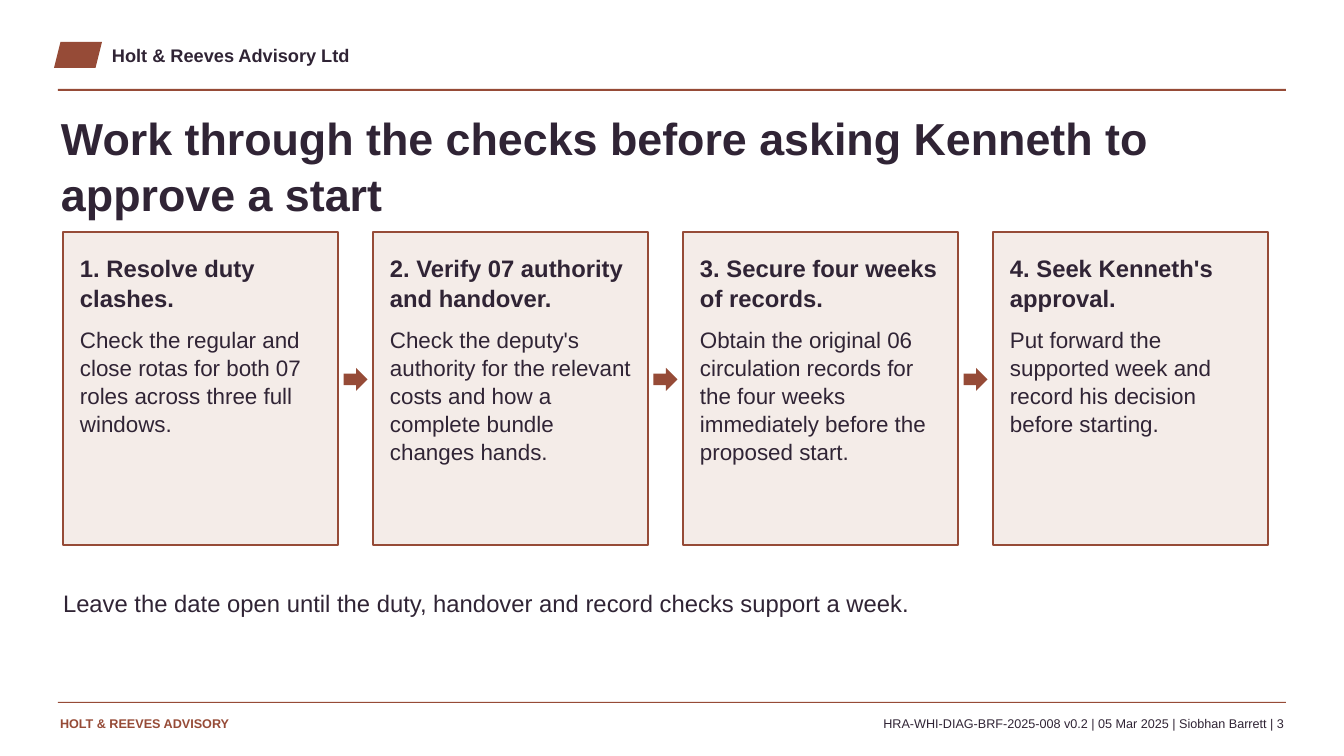
from dataclasses import dataclass
from pptx import Presentation
from pptx.dml.color import RGBColor
from pptx.enum.shapes import MSO_SHAPE
from pptx.enum.text import MSO_ANCHOR, MSO_AUTO_SIZE, PP_ALIGN
from pptx.util import Emu, Pt

RECTANGLE = MSO_SHAPE.RECTANGLE
PARALLELOGRAM = MSO_SHAPE.PARALLELOGRAM
RIGHT_ARROW = MSO_SHAPE.RIGHT_ARROW
TOP = MSO_ANCHOR.TOP
LEFT, RIGHT = PP_ALIGN.LEFT, PP_ALIGN.RIGHT
NO_AUTOFIT = MSO_AUTO_SIZE.NONE

TITLE = "Work through the checks before asking Kenneth to approve a start"
COMPANY = "Holt & Reeves Advisory Ltd"
STEPS = [
    ("1. Resolve duty clashes.",
     "Check the regular and close rotas for both 07 roles across three full windows."),
    ("2. Verify 07 authority and handover.",
     "Check the deputy's authority for the relevant costs and how a complete bundle changes hands."),
    ("3. Secure four weeks of records.",
     "Obtain the original 06 circulation records for the four weeks immediately before the proposed start."),
    ("4. Seek Kenneth's approval.",
     "Put forward the supported week and record his decision before starting."),
]
CLOSING = "Leave the date open until the duty, handover and record checks support a week."
FOOTER_NAME = "HOLT & REEVES ADVISORY"
FOOTER_REFERENCE = "HRA-WHI-DIAG-BRF-2025-008 v0.2 | 05 Mar 2025 | Siobhan Barrett | 3"


@dataclass(frozen=True)
class Theme:
    font: str = "Arial"
    ink: RGBColor = RGBColor(0x30, 0x24, 0x35)
    accent: RGBColor = RGBColor(0x96, 0x4B, 0x37)
    card: RGBColor = RGBColor(0xF4, 0xEC, 0xE8)
    title: int = 32
    heading: int = 17
    body: int = 16
    company: int = 13
    footer: int = 9


THEME = Theme()
EMU_PER_PX = 914400 / 100.8
CARD_LEFT, CARD_TOP, CARD_WIDTH, CARD_HEIGHT, CARD_GAP = 63, 232, 275, 313, 35
ARROW_TOP, ARROW_WIDTH, ARROW_HEIGHT = 368, 24, 23


def px(length):
    return Emu(round(length * EMU_PER_PX))


def set_frame(frame, left=0, top=0, right=0):
    frame.word_wrap = True
    frame.auto_size = NO_AUTOFIT
    frame.vertical_anchor = TOP
    frame.margin_left, frame.margin_top = px(left), px(top)
    frame.margin_right, frame.margin_bottom = px(right), 0


def write(paragraph, text, size, color=THEME.ink, bold=False, align=LEFT, spacing=1.0):
    paragraph.text = text
    paragraph.alignment = align
    paragraph.line_spacing = spacing
    paragraph.space_before = Pt(0)
    font = paragraph.font
    font.name, font.size, font.bold = THEME.font, Pt(size), bold
    font.color.rgb = color


def add_text(slide, box, text, size, **style):
    frame = slide.shapes.add_textbox(*map(px, box)).text_frame
    set_frame(frame)
    write(frame.paragraphs[0], text, size, **style)


def add_block(slide, kind, box, fill):
    shape = slide.shapes.add_shape(kind, *map(px, box))
    shape.shadow.inherit = False
    shape.fill.solid()
    shape.fill.fore_color.rgb = fill
    shape.line.fill.background()
    return shape


def add_card(slide, left, heading, body):
    card = add_block(slide, RECTANGLE, (left, CARD_TOP, CARD_WIDTH, CARD_HEIGHT), THEME.card)
    card.line.color.rgb = THEME.accent
    card.line.width = Pt(0.9)
    frame = card.text_frame
    set_frame(frame, 17, 21, 17)
    write(frame.paragraphs[0], heading, THEME.heading, bold=True, spacing=1.04)
    frame.paragraphs[0].space_after = Pt(9)
    write(frame.add_paragraph(), body, THEME.body, spacing=1.04)


def main():
    presentation = Presentation()
    presentation.slide_width, presentation.slide_height = px(1344), px(756)
    slide = presentation.slides.add_slide(presentation.slide_layouts[5])

    add_block(slide, PARALLELOGRAM, (54, 42, 48, 26), THEME.accent)
    add_text(slide, (112, 44, 605, 27), COMPANY, THEME.company, bold=True)
    for top, height in ((89, 2), (702, 1)):
        add_block(slide, RECTANGLE, (58, top, 1228, height), THEME.accent)

    title = slide.shapes.title
    title.left, title.top, title.width, title.height = map(px, (61, 108, 1210, 111))
    set_frame(title.text_frame)
    write(title.text_frame.paragraphs[0], TITLE, THEME.title, bold=True, spacing=1.05)

    for index, (heading, body) in enumerate(STEPS):
        left = CARD_LEFT + index * (CARD_WIDTH + CARD_GAP)
        add_card(slide, left, heading, body)
        if index:
            arrow_left = left - (CARD_GAP + ARROW_WIDTH) / 2
            add_block(slide, RIGHT_ARROW, (arrow_left, ARROW_TOP, ARROW_WIDTH, ARROW_HEIGHT), THEME.accent)

    add_text(slide, (63, 589, 1204, 81), CLOSING, THEME.heading)
    add_text(slide, (60, 716, 343, 25), FOOTER_NAME, THEME.footer, color=THEME.accent, bold=True)
    add_text(slide, (415, 716, 869, 19), FOOTER_REFERENCE, THEME.footer, align=RIGHT)
    presentation.save("out.pptx")


if __name__ == "__main__":
    main()
